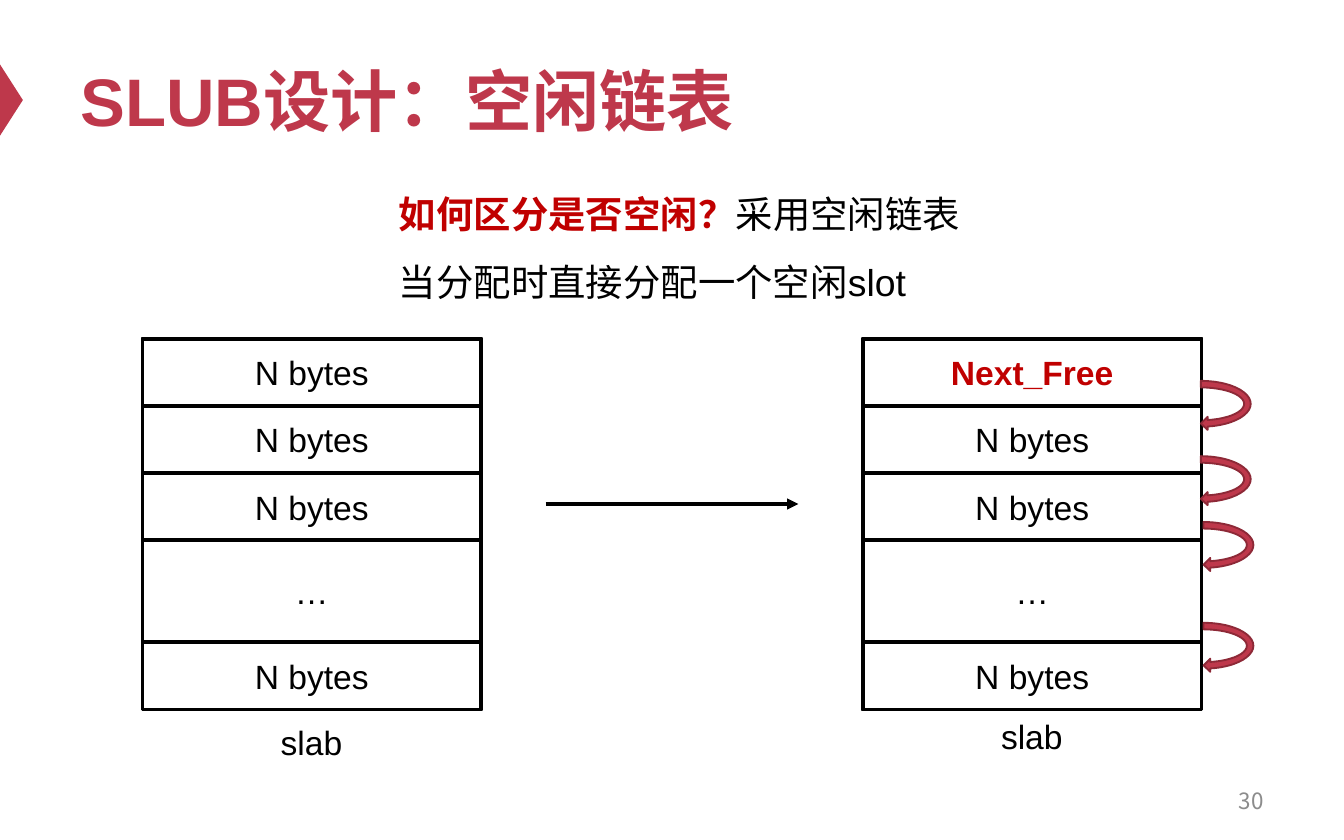
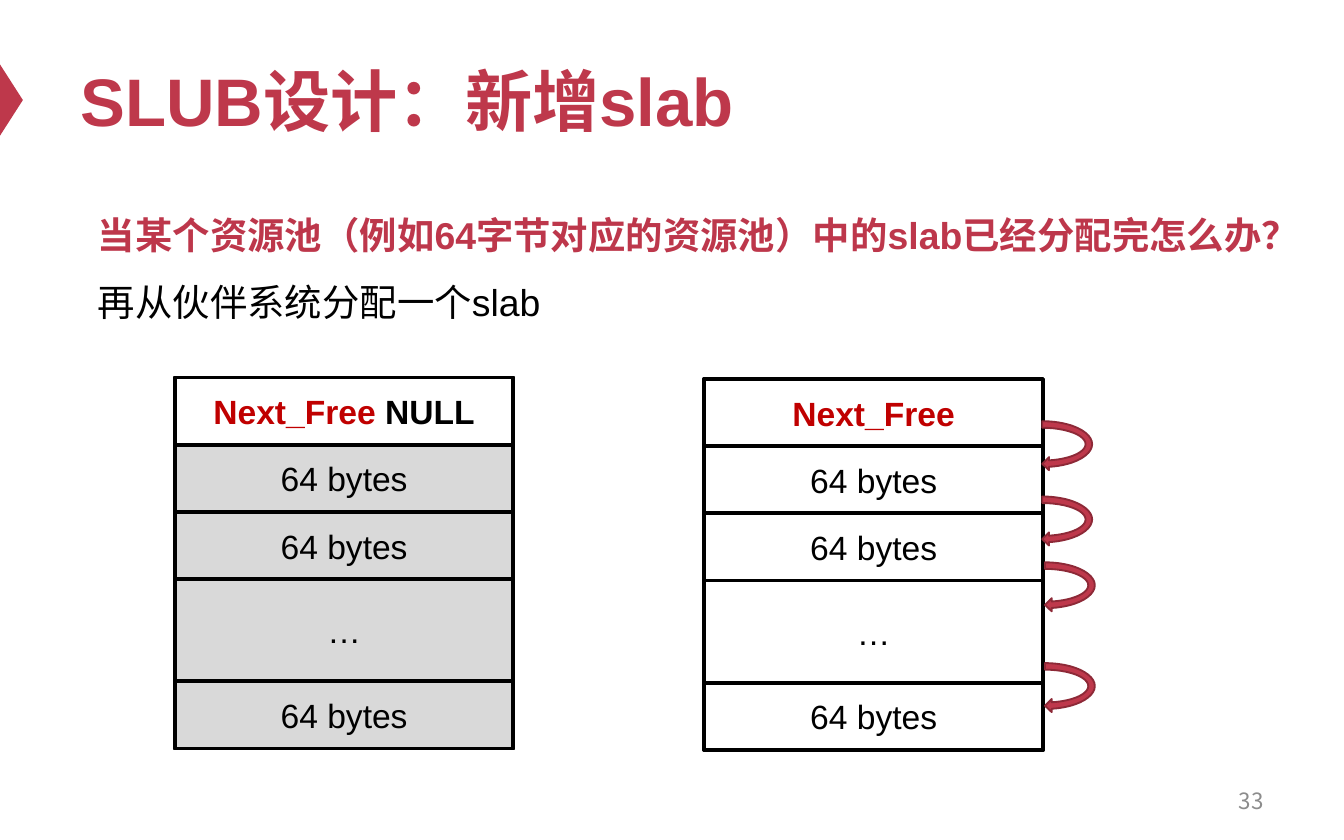
from itertools import accumulate
from lxml.etree import SubElement
from pptx import Presentation
from pptx.dml.color import RGBColor
from pptx.enum.shapes import MSO_CONNECTOR as Line, MSO_SHAPE as Shape
from pptx.enum.text import MSO_ANCHOR as Anchor, MSO_AUTO_SIZE as Fit, PP_ALIGN as Align
from pptx.oxml.ns import qn
from pptx.util import Inches, Pt

HUES = {
    "brand": "BE384B", "edge": "8D2937", "lead": "BD374B", "red": "C00000",
    "black": "000000", "white": "FFFFFF", "used": "D9D9D9", "page": "8C8C8C",
}
LATIN, HAN = "Arial", "Noto Sans CJK SC"
WIDTH = 2.52
ROWS = [0.5, 0.5, 0.5, 0.76, 0.5]
HOPS = [(2.32, 0.09), (2.32, 0.65), (2.34, 1.14), (2.34, 1.89)]
HEAD = ("Next_Free", "red", True)


def hue(name):
    return RGBColor.from_string(HUES[name])


def tint(font, name, bold):
    font.color.rgb = hue(name)
    font.bold = bold


def write(frame, lines, size, align=Align.LEFT, face=LATIN, space=None):
    for i, runs in enumerate(lines):
        para = frame.add_paragraph() if i else frame.paragraphs[0]
        para.alignment = align
        if space:
            para.line_spacing = space
        font = para.font
        font.name = face
        font.size = Pt(size)
        SubElement(font.latin if hasattr(font, "latin") else para.font._rPr, qn("a:ea"), typeface=HAN)
        for text, name, bold in runs:
            run = para.add_run()
            run.text = text
            tint(font if len(runs) == 1 else run.font, name, bold)


def label(slide, x, y, w, h, lines, size, space=None):
    box = slide.shapes.add_textbox(Inches(x), Inches(y), Inches(w), Inches(h))
    frame = box.text_frame
    frame.word_wrap = False
    frame.auto_size = Fit.SHAPE_TO_FIT_TEXT
    write(frame, lines, size, space=space)


def block(slide, kind, x, y, w, h, fill, edge=None, weight=2, turn=0):
    shape = slide.shapes.add_shape(kind, Inches(x), Inches(y), Inches(w), Inches(h))
    shape.shadow.inherit = False
    shape.rotation = turn
    shape.fill.solid()
    shape.fill.fore_color.rgb = hue(fill)
    if edge:
        shape.line.color.rgb = hue(edge)
        shape.line.width = Pt(weight)
    else:
        shape.line.fill.background()
    return shape


def start(deck, title, page):
    slide = deck.slides.add_slide(deck.slide_layouts[5])
    block(slide, Shape.ISOSCELES_TRIANGLE, -0.18, 0.66, 0.53, 0.17, "brand", turn=90)
    head = slide.shapes.title
    head.left, head.top = Inches(0.5), Inches(0.25)
    head.width, head.height = Inches(9), Inches(0.98)
    head.text_frame.vertical_anchor = Anchor.MIDDLE
    write(head.text_frame, [[(title, "brand", True)]], 36)
    foot = slide.shapes.add_textbox(Inches(7.17), Inches(5.79), Inches(2.33), Inches(0.33))
    foot.text_frame.word_wrap = True
    foot.text_frame.vertical_anchor = Anchor.MIDDLE
    write(foot.text_frame, [[(page, "page", False)]], 12, Align.RIGHT, HAN)
    return slide


def slab(slide, x, y, first, unit, fill="white"):
    block(slide, Shape.RECTANGLE, x, y, WIDTH, sum(ROWS), "white", "black")
    cell = [(unit, "black", False)]
    dots = [("…", "black", False)]
    tops = accumulate(ROWS, initial=y)
    for i, (runs, top, high) in enumerate(zip([first, cell, cell, dots, cell], tops, ROWS)):
        shape = block(slide, Shape.RECTANGLE, x, top, WIDTH, high, fill if i else "white", "black")
        shape.text_frame.vertical_anchor = Anchor.MIDDLE
        write(shape.text_frame, [runs], 18, Align.CENTER)


def chain(slide, x, y):
    for dx, dy in HOPS:
        block(slide, Shape.CIRCULAR_ARROW, x + dx, y + dy, 0.39, 0.79, "brand", "edge", 1, 90)


def arrow(slide, x, y, end):
    line = slide.shapes.add_connector(Line.STRAIGHT, Inches(x), Inches(y), Inches(end), Inches(y))
    line.line.color.rgb = hue("black")
    line.line.width = Pt(2)
    SubElement(line.line._get_or_add_ln(), qn("a:tailEnd"), type="triangle")
    SubElement(line.element.spPr, qn("a:effectLst"))


def free_list(deck):
    slide = start(deck, "SLUB设计：空闲链表", "30")
    label(slide, 2.87, 1.21, 4.41, 1.05, [
        [("如何区分是否空闲？", "red", True), ("采用空闲链表", "black", False)],
        [("当分配时直接分配一个空闲slot", "black", False)],
    ], 20, 1.5)
    arrow(slide, 4.06, 3.75, 5.94)
    unit, top = "N bytes", 2.52
    for x, first, base in [(6.42, HEAD, 5.28), (1.06, (unit, "black", False), 5.32)]:
        slab(slide, x, top, [first], unit)
        label(slide, x + 0.93, base, 0.66, 0.4, [[("slab", "black", False)]], 18)
    chain(slide, 6.42, top)


def new_slab(deck):
    slide = start(deck, "SLUB设计：新增slab", "33")
    label(slide, 0.63, 1.36, 9.21, 1.05, [
        [("当某个资源池（例如64字节对应的资源池）中的slab已经分配完怎么办？", "lead", True)],
        [("再从伙伴系统分配一个slab", "black", False)],
    ], 20, 1.5)
    unit, top = "64 bytes", 2.82
    full = [("Next_Free ", "red", True), ("NULL", "black", True)]
    slab(slide, 1.3, top - 0.01, full, unit, "used")
    slab(slide, 5.24, top, [HEAD], unit)
    chain(slide, 5.24, top)


def main():
    deck = Presentation()
    deck.slide_width, deck.slide_height = Inches(10), Inches(6.25)
    free_list(deck)
    new_slab(deck)
    deck.save("out.pptx")


if __name__ == "__main__":
    main()
